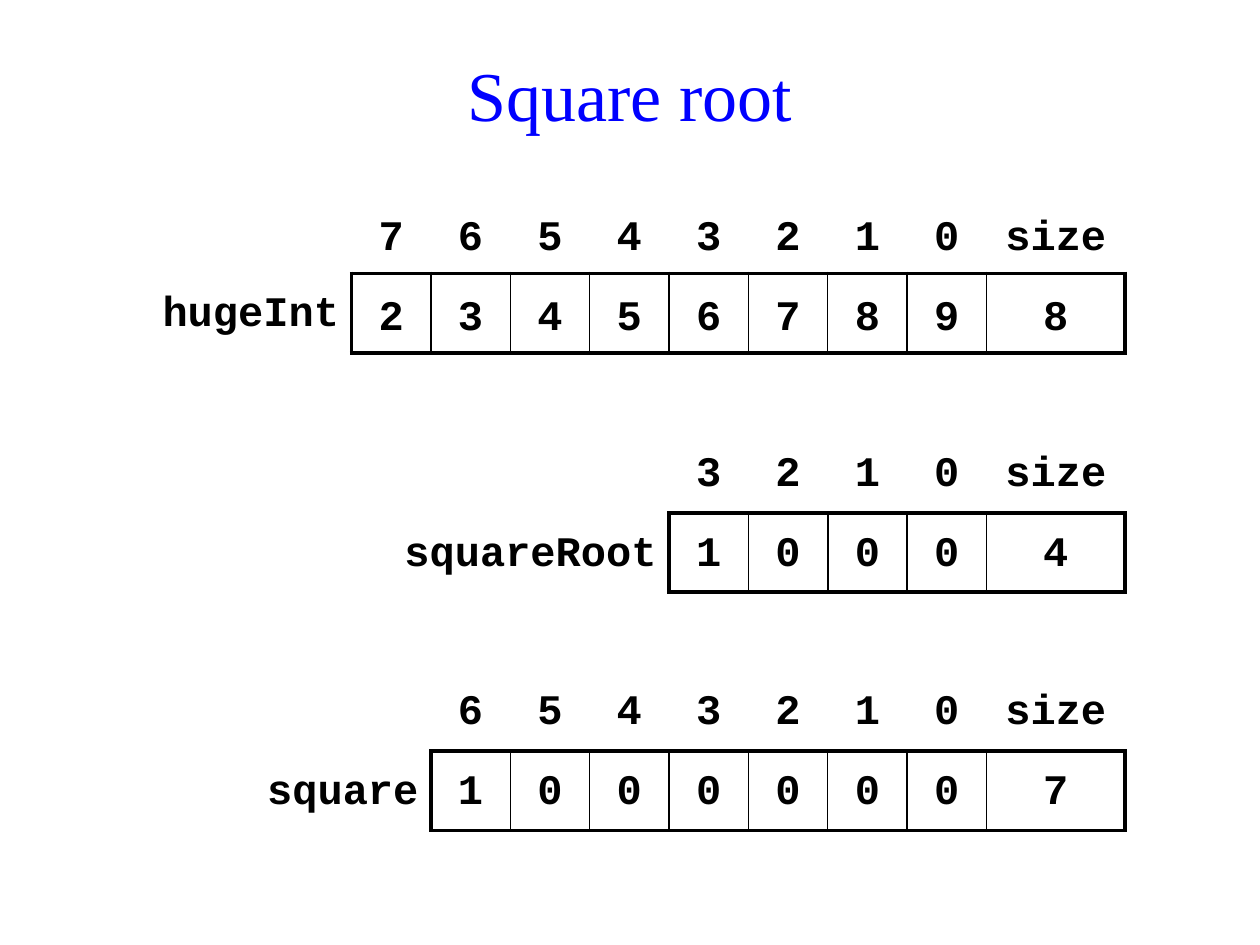
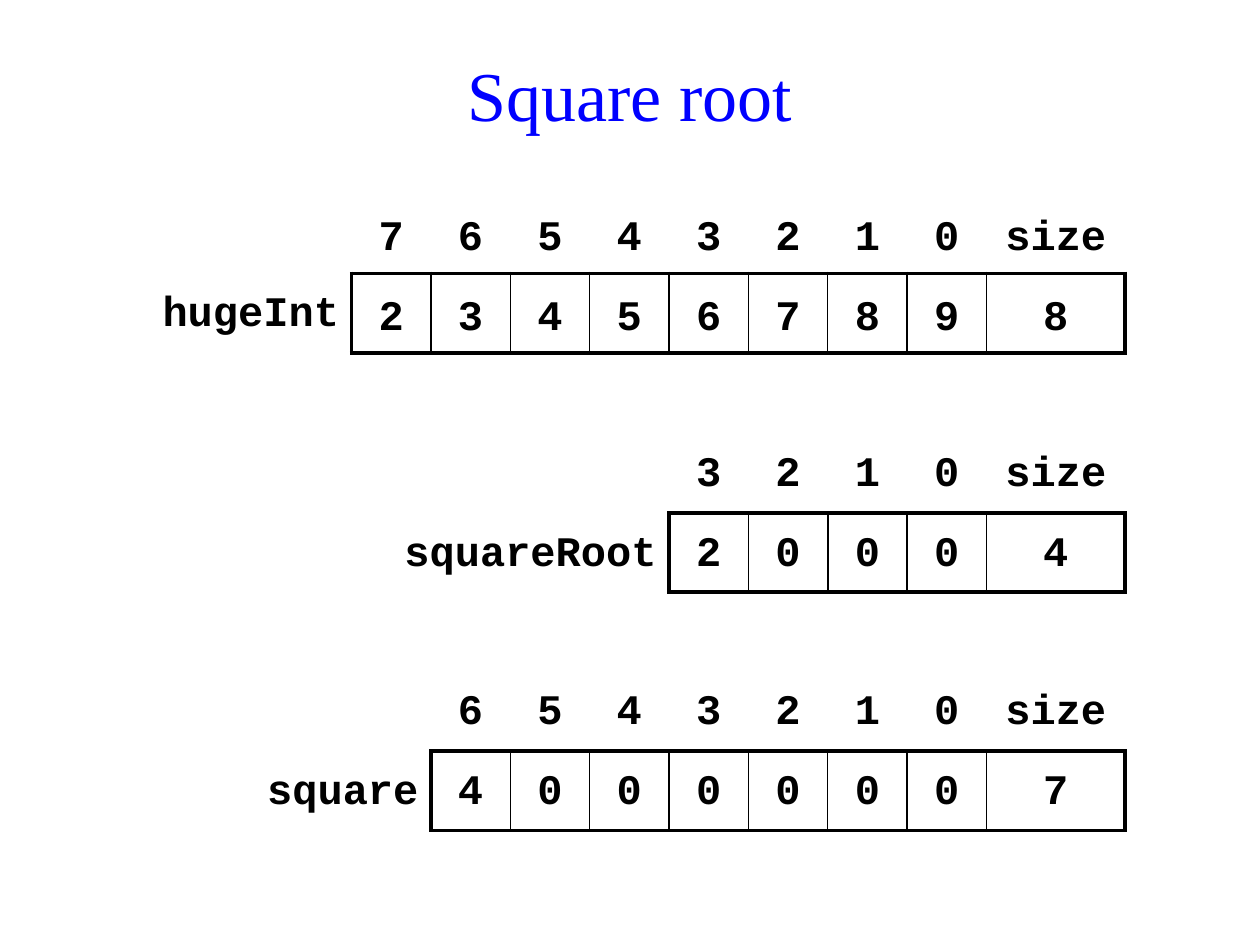
from pptx import Presentation
from pptx.dml.color import RGBColor
from pptx.enum.text import MSO_ANCHOR as Anchor, PP_ALIGN as Align
from pptx.oxml.ns import qn
from pptx.util import Inches, Pt
from lxml.etree import SubElement

BLACK = RGBColor(0x00, 0x00, 0x00)
BLUE = RGBColor(0x00, 0x00, 0xFF)
TITLE_FONT = "Times New Roman"
CODE_FONT = "Courier New"
THICK, THIN, NONE = 2.25, 1, 0
DIGIT_WIDTH, SIZE_WIDTH, ROW_HEIGHT = 0.63, 1.1, 0.63
RIGHT_EDGE = 8.93


class Deck:
    def __init__(self):
        self.prs = Presentation()
        self.prs.slide_width = Inches(10)
        self.prs.slide_height = Inches(7.5)
        self.s = None

    def slide(self, title):
        self.s = self.prs.slides.add_slide(self.prs.slide_layouts[5])
        sp = self.s.shapes.title
        sp.left, sp.top = Inches(0.59), Inches(0.28)
        sp.width, sp.height = Inches(8.82), Inches(0.93)
        tf = sp.text_frame
        tf.vertical_anchor = Anchor.MIDDLE
        p = tf.paragraphs[0]
        p.alignment = Align.CENTER
        self.run(p, title, TITLE_FONT, 40, BLUE)

    def run(self, p, text, font, size, color, bold=False):
        r = p.add_run()
        r.text = text
        r.font.name = font
        r.font.size = Pt(size)
        r.font.bold = bold
        r.font.color.rgb = color

    def borders(self, cell, widths):
        tcPr = cell._tc.get_or_add_tcPr()
        for i, (side, width) in enumerate(zip("LRTB", widths)):
            ln = SubElement(tcPr, qn(f"a:ln{side}"), w=str(Pt(width)))
            if width:
                fill = SubElement(ln, qn("a:solidFill"))
                SubElement(fill, qn("a:srgbClr"), val=str(BLACK))
            else:
                SubElement(ln, qn("a:noFill"))
            tcPr.insert(i, ln)

    def cell(self, cell, text, widths, align=Align.CENTER, anchor=Anchor.TOP):
        cell.fill.background()
        self.borders(cell, widths)
        cell.vertical_anchor = anchor
        if text:
            p = cell.text_frame.paragraphs[0]
            p.alignment = align
            p.line_spacing = 1.25
            self.run(p, text, CODE_FONT, 24, BLACK, True)

    def huge_int(self, name, digits, top, label_width, anchor=Anchor.TOP):
        count = len(digits)
        columns = [label_width] + [DIGIT_WIDTH] * count + [SIZE_WIDTH]
        width = sum(columns)
        table = self.s.shapes.add_table(
            2, len(columns), Inches(RIGHT_EDGE - width), Inches(top),
            Inches(width), Inches(2 * ROW_HEIGHT)).table
        table.first_row = table.horz_banding = False
        for column, column_width in zip(table.columns, columns):
            column.width = Inches(column_width)
        for row in table.rows:
            row.height = Inches(ROW_HEIGHT)

        self.cell(table.cell(0, 0), "", [NONE] * 4)
        label = table.cell(1, 0)
        label.margin_left = Inches(0.05)
        self.cell(label, name, (NONE, THICK, NONE, NONE), Align.RIGHT)

        indices = [str(i) for i in reversed(range(count))] + ["size"]
        values = list(digits) + [str(count)]
        for c, (index, value) in enumerate(zip(indices, values), 1):
            left = THICK if c == 1 else THIN
            right = THICK if c == len(values) else THIN
            self.cell(table.cell(0, c), index,
                      (NONE, NONE, NONE, THICK), anchor=anchor)
            self.cell(table.cell(1, c), value,
                      (left, right, THICK, THICK), anchor=anchor)


deck = Deck()
for root, square in (("1000", "1000000"), ("2000", "4000000")):
    deck.slide("Square root")
    deck.huge_int("hugeInt", "23456789", 1.54, 1.73, Anchor.MIDDLE)
    deck.huge_int("squareRoot", root, 3.44, 2.2)
    deck.huge_int("square", square, 5.33, 1.42)
deck.prs.save("out.pptx")
